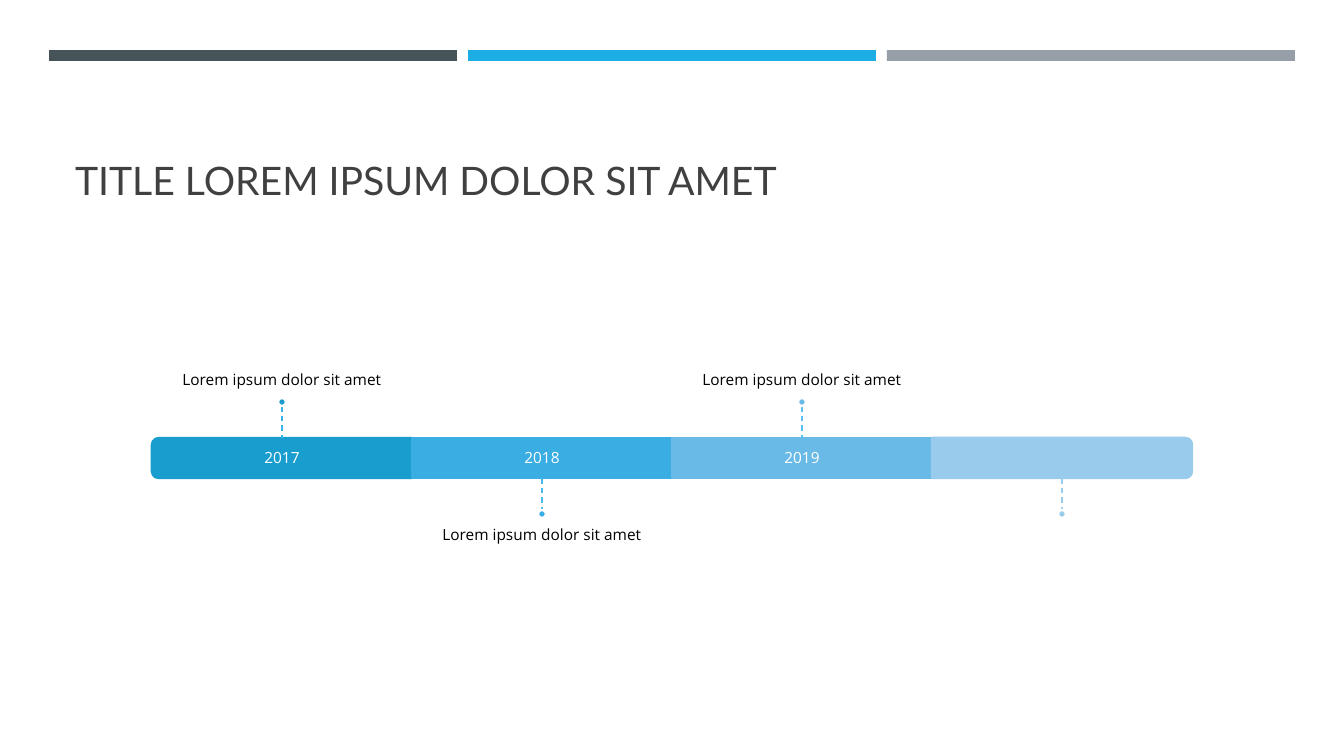
from pptx import Presentation
from pptx import util as u
from pptx.dml.color import RGBColor
from pptx.enum import dml, shapes, text
from pptx.oxml.ns import qn
from lxml import etree

PIXEL = 914400 / 100.8

WHITE = RGBColor(0xFF, 0xFF, 0xFF)
BLACK = RGBColor(0x00, 0x00, 0x00)
TITLE_GREY = RGBColor(0x40, 0x40, 0x40)
HEADER_COLORS = [RGBColor(0x46, 0x53, 0x59), RGBColor(0x1C, 0xAD, 0xE4),
                 RGBColor(0x96, 0x9F, 0xA7)]

# Year, label, segment colour, connector colour
MILESTONES = [
    ("2017", "Lorem ipsum dolor sit amet",
     RGBColor(0x19, 0x9D, 0xCF), RGBColor(0x36, 0xB3, 0xE9)),
    ("2018", "Lorem ipsum dolor sit amet",
     RGBColor(0x3A, 0xAD, 0xE3), RGBColor(0x48, 0xB8, 0xEC)),
    ("2019", "Lorem ipsum dolor sit amet",
     RGBColor(0x6A, 0xBA, 0xE7), RGBColor(0x5A, 0xBE, 0xEF)),
    ("", "", RGBColor(0x99, 0xCB, 0xEC), RGBColor(0x98, 0xCB, 0xEC)),
]

BAR_LEFT, BAR_TOP, BAR_HEIGHT = 152, 438, 40
SEGMENT_WIDTH = 260
STEM, DOT = 32, 8
LABEL_WIDTH, LABEL_HEIGHT, INSET = 434, 140, 9


def px(*lengths):
    return [u.Emu(round(length * PIXEL)) for length in lengths]


def add_block(slide, kind, box, fill, line=None):
    shape = slide.shapes.add_shape(kind, *px(*box))
    shape.shadow.inherit = False
    shape.fill.solid()
    shape.fill.fore_color.rgb = fill
    if line is None:
        shape.line.fill.background()
    else:
        shape.line.color.rgb = line
        shape.line.width = u.Pt(1.75)
    return shape


def format_text(shape, words, font, size, color, align, anchor):
    frame = shape.text_frame
    frame.text = words
    frame.word_wrap = True
    frame.auto_size = text.MSO_AUTO_SIZE.NONE
    frame.vertical_anchor = anchor
    paragraph = frame.paragraphs[0]
    paragraph.alignment = align
    paragraph.line_spacing = 0.9
    run_font = paragraph.runs[0].font
    run_font.name, run_font.size = font, u.Pt(size)
    run_font.color.rgb = color


def add_label(slide, words, box, color, anchor, insets):
    shape = slide.shapes.add_textbox(*px(*box))
    format_text(shape, words, "Open Sans", 11, color,
                text.PP_ALIGN.CENTER, anchor)
    frame = shape.text_frame
    (frame.margin_left, frame.margin_top,
     frame.margin_right, frame.margin_bottom) = px(*insets)


def add_stem(slide, x, top, color):
    stem = slide.shapes.add_connector(
        shapes.MSO_CONNECTOR.STRAIGHT, *px(x, top, x, top + STEM))
    stem.line.color.rgb = color
    stem.line.width = u.Pt(1)
    stem.line.dash_style = dml.MSO_LINE.DASH
    etree.SubElement(stem._element.spPr, qn("a:effectLst"))


def add_segment(slide, index, color):
    left = BAR_LEFT + index * SEGMENT_WIDTH
    rotation = {0: 270, len(MILESTONES) - 1: 90}.get(index)
    if rotation is None:
        add_block(slide, shapes.MSO_SHAPE.RECTANGLE,
                  (left, BAR_TOP, SEGMENT_WIDTH, BAR_HEIGHT), color, color)
        return
    # The end caps are upright shapes turned about the segment's centre
    offset = (SEGMENT_WIDTH - BAR_HEIGHT) / 2
    cap = add_block(slide, shapes.MSO_SHAPE.ROUND_2_SAME_RECTANGLE,
                    (left + offset, BAR_TOP - offset, BAR_HEIGHT, SEGMENT_WIDTH),
                    color, color)
    cap.rotation = rotation


def add_milestone(slide, index, year, label, color, stem_color):
    left = BAR_LEFT + index * SEGMENT_WIDTH
    center = left + SEGMENT_WIDTH / 2
    add_segment(slide, index, color)
    if year:
        add_label(slide, year, (left, BAR_TOP, SEGMENT_WIDTH, BAR_HEIGHT),
                  WHITE, text.MSO_ANCHOR.MIDDLE, [INSET] * 4)

    # Callouts alternate above and below the bar
    if index % 2 == 0:
        stem_top = BAR_TOP - STEM
        dot_top = stem_top - DOT
        label_top = dot_top - LABEL_HEIGHT
        anchor, insets = text.MSO_ANCHOR.BOTTOM, (0, 0, 0, INSET)
    else:
        stem_top = BAR_TOP + BAR_HEIGHT
        dot_top = stem_top + STEM
        label_top = dot_top + DOT
        anchor, insets = text.MSO_ANCHOR.TOP, (0, INSET, 0, 0)
    if label:
        add_label(slide, label,
                  (center - LABEL_WIDTH / 2, label_top, LABEL_WIDTH, LABEL_HEIGHT),
                  BLACK, anchor, insets)
    add_stem(slide, center, stem_top, stem_color)
    add_block(slide, shapes.MSO_SHAPE.OVAL,
              (center - DOT / 2, dot_top, DOT, DOT), color, WHITE)


def main():
    presentation = Presentation()
    presentation.slide_width, presentation.slide_height = px(1344, 756)
    slide = presentation.slides.add_slide(presentation.slide_layouts[5])

    # Header bars
    for index, color in enumerate(HEADER_COLORS):
        add_block(slide, shapes.MSO_SHAPE.RECTANGLE,
                  (49 + index * 419, 50, 408, 11), color)

    # Title
    title = slide.shapes.title
    title.left, title.top, title.width, title.height = px(65, 78, 1216, 131)
    format_text(title, "TITLE LOREM IPSUM DOLOR SIT AMET", "Lato", 28,
                TITLE_GREY, text.PP_ALIGN.LEFT, text.MSO_ANCHOR.BOTTOM)

    # Timeline
    for index, milestone in enumerate(MILESTONES):
        add_milestone(slide, index, *milestone)

    presentation.save("out.pptx")


main()
